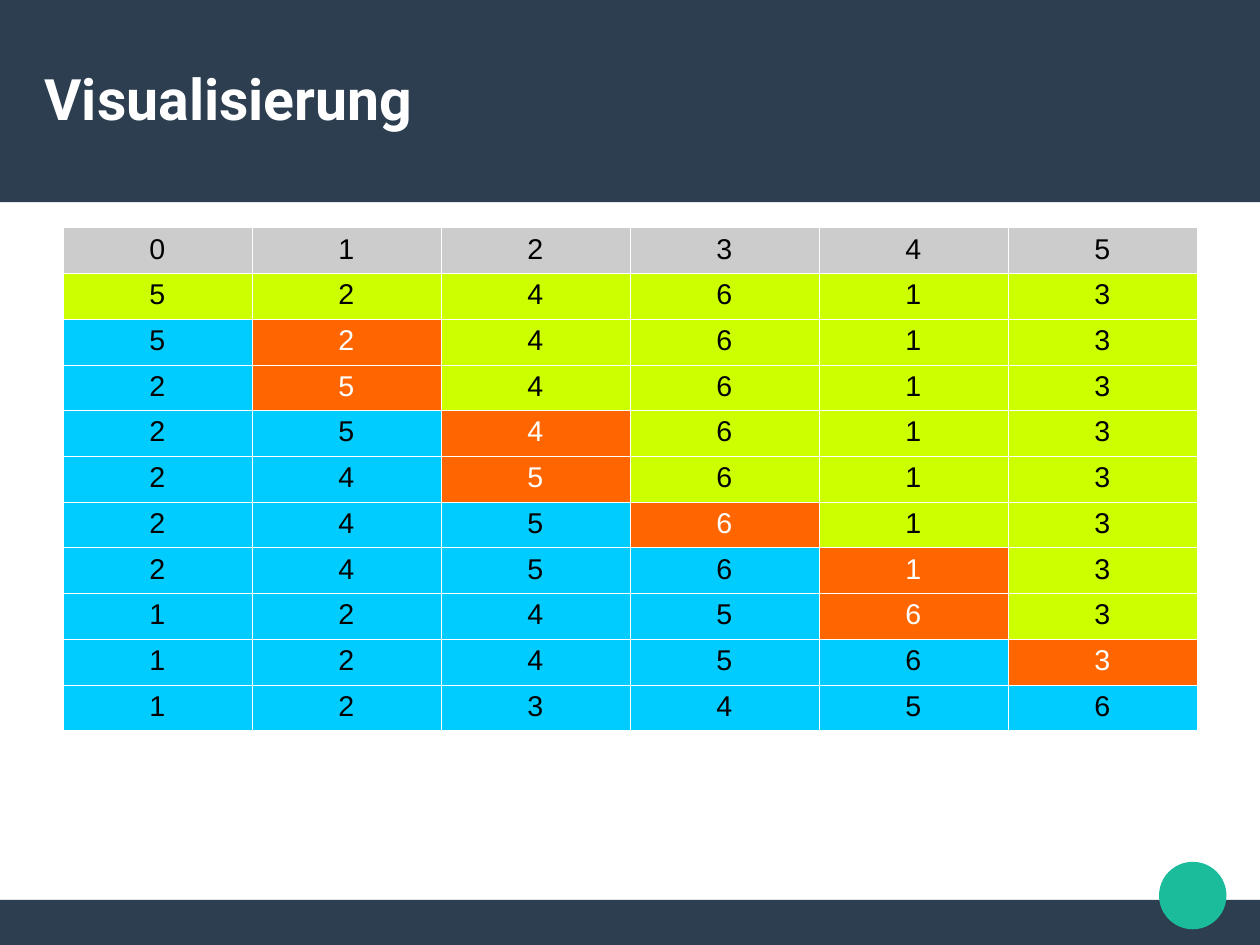
"""Build a slide that shows insertion sort step by step."""
from dataclasses import dataclass

from lxml.etree import SubElement
from pptx import Presentation
from pptx.dml.color import RGBColor
from pptx.enum.shapes import MSO_SHAPE
from pptx.enum.text import MSO_ANCHOR, MSO_AUTO_SIZE, PP_ALIGN
from pptx.oxml.ns import qn
from pptx.slide import Slide
from pptx.table import _Cell
from pptx.util import Inches, Pt

NAVY = RGBColor(0x2C, 0x3E, 0x50)
TEAL = RGBColor(0x1A, 0xBC, 0x9C)
WHITE = RGBColor(0xFF, 0xFF, 0xFF)
BLACK = RGBColor(0x00, 0x00, 0x00)
HEADER_GREY = RGBColor(0xCC, 0xCC, 0xCC)
UNSORTED_LIME = RGBColor(0xCC, 0xFF, 0x00)
SORTED_BLUE = RGBColor(0x00, 0xCC, 0xFF)
CURRENT_ORANGE = RGBColor(0xFF, 0x66, 0x00)

CENTIMETRE = 1 / 2.54
SLIDE_WIDTH, SLIDE_HEIGHT = 28 * CENTIMETRE, 21 * CENTIMETRE
FOOTER_HEIGHT = 1 * CENTIMETRE
COLUMN_WIDTH, ROW_HEIGHT = 4.2 * CENTIMETRE, 0.4
BORDER_WIDTH = Pt(0.06)


@dataclass(frozen=True)
class Decoration:
    kind: MSO_SHAPE
    left: float
    top: float
    width: float
    height: float
    color: RGBColor


@dataclass(frozen=True)
class Step:
    values: str
    sorted_count: int
    has_current: bool = True

    def fill_color(self, column: int) -> RGBColor:
        if column < self.sorted_count:
            return SORTED_BLUE
        if self.has_current and column == self.sorted_count:
            return CURRENT_ORANGE
        return UNSORTED_LIME


DECORATIONS = [
    Decoration(
        MSO_SHAPE.RECTANGLE, 0, SLIDE_HEIGHT - FOOTER_HEIGHT, SLIDE_WIDTH, FOOTER_HEIGHT, NAVY
    ),
    Decoration(MSO_SHAPE.RECTANGLE, 0, 0, SLIDE_WIDTH, 1.77, NAVY),
    Decoration(MSO_SHAPE.OVAL, 10.14, 7.54, 0.59, 0.59, TEAL),
]
INDEXES = "012345"
STEPS = [
    Step("524613", 0, has_current=False),
    Step("524613", 1),
    Step("254613", 1),
    Step("254613", 2),
    Step("245613", 2),
    Step("245613", 3),
    Step("245613", 4),
    Step("124563", 4),
    Step("124563", 5),
    Step("123456", 6),
]


def add_decoration(page: Slide, item: Decoration) -> None:
    shape = page.shapes.add_shape(
        item.kind, Inches(item.left), Inches(item.top), Inches(item.width), Inches(item.height)
    )
    shape.shadow.inherit = False
    shape.fill.solid()
    shape.fill.fore_color.rgb = item.color
    shape.line.fill.background()


def format_title(page: Slide, text: str) -> None:
    title = page.shapes.title
    title.left, title.top = Inches(0.39), Inches(0.33)
    title.width, title.height = Inches(10.24), Inches(1.05)
    frame = title.text_frame
    frame.text = text
    frame.margin_left = frame.margin_top = frame.margin_right = frame.margin_bottom = 0
    frame.vertical_anchor = MSO_ANCHOR.MIDDLE
    frame.auto_size = MSO_AUTO_SIZE.NONE
    para = frame.paragraphs[0]
    para.alignment = PP_ALIGN.LEFT
    para.font.name, para.font.size, para.font.bold = "Roboto", Pt(36), True
    para.font.color.rgb = WHITE
    title.element.getparent().append(title.element)


def add_borders(cell: _Cell) -> None:
    properties = cell._tc.get_or_add_tcPr()
    for side in ("a:lnL", "a:lnR", "a:lnT", "a:lnB"):
        line = SubElement(properties, qn(side), w=str(BORDER_WIDTH))
        fill = SubElement(line, qn("a:solidFill"))
        SubElement(fill, qn("a:srgbClr"), val=str(WHITE))


def format_cell(cell: _Cell, text: str, color: RGBColor) -> None:
    cell.text = text
    add_borders(cell)
    cell.fill.solid()
    cell.fill.fore_color.rgb = color
    para = cell.text_frame.paragraphs[0]
    para.alignment = PP_ALIGN.CENTER
    para.font.name, para.font.size = "Arial", Pt(18)
    para.font.color.rgb = WHITE if color == CURRENT_ORANGE else BLACK


def add_steps_table(page: Slide) -> None:
    row_count, column_count = len(STEPS) + 1, len(INDEXES)
    table = page.shapes.add_table(
        row_count, column_count, Inches(0.55), Inches(1.99),
        Inches(COLUMN_WIDTH * column_count), Inches(ROW_HEIGHT * row_count),
    ).table
    table.first_row = table.horz_banding = False
    for table_column in table.columns:
        table_column.width = Inches(COLUMN_WIDTH)
    for table_row in table.rows:
        table_row.height = Inches(ROW_HEIGHT)
    for column, index in enumerate(INDEXES):
        format_cell(table.cell(0, column), index, HEADER_GREY)
        for row, step in enumerate(STEPS, start=1):
            format_cell(table.cell(row, column), step.values[column], step.fill_color(column))


def main() -> None:
    deck = Presentation()
    deck.slide_width, deck.slide_height = Inches(SLIDE_WIDTH), Inches(SLIDE_HEIGHT)
    page = deck.slides.add_slide(deck.slide_layouts[5])
    for item in DECORATIONS:
        add_decoration(page, item)
    format_title(page, "Visualisierung")
    add_steps_table(page)
    deck.save("out.pptx")


if __name__ == "__main__":
    main()
